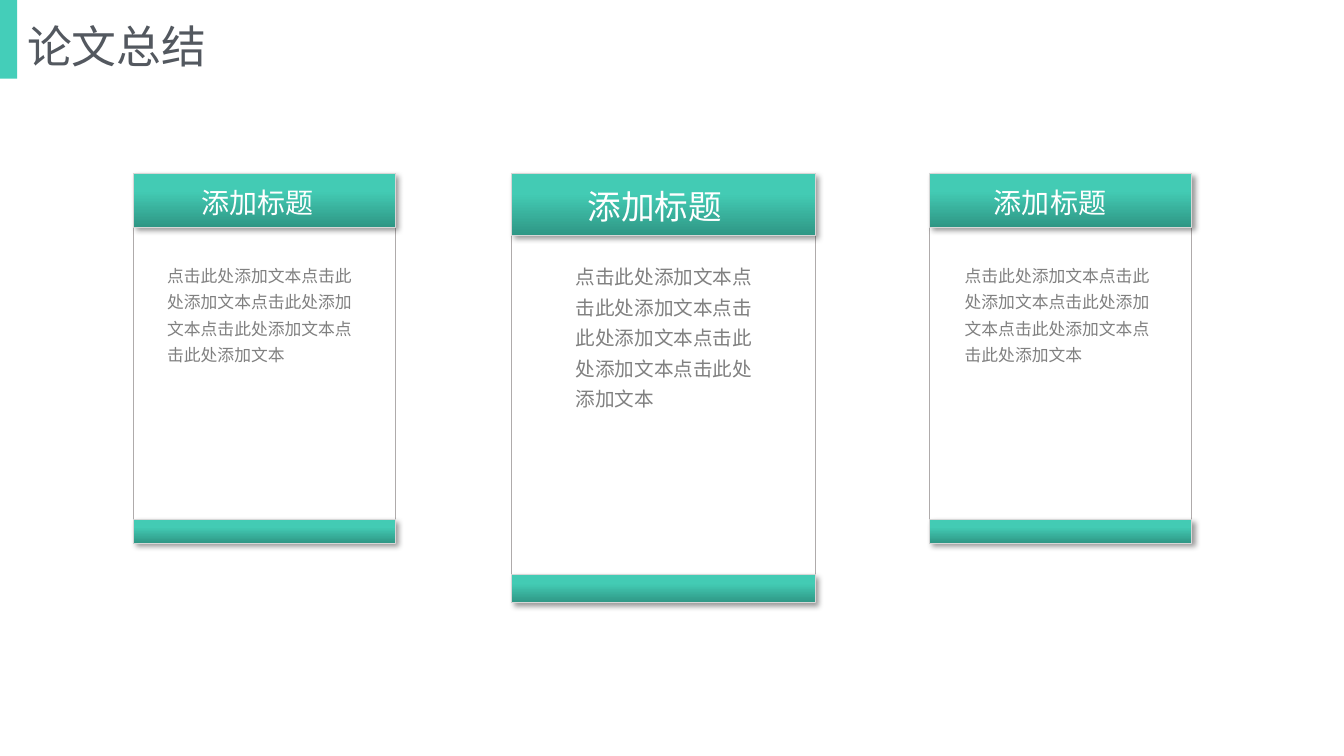
from lxml.etree import SubElement
from pptx import Presentation
from pptx.dml.color import RGBColor
from pptx.enum.shapes import MSO_SHAPE
from pptx.enum.text import MSO_AUTO_SIZE
from pptx.oxml import parse_xml
from pptx.oxml.ns import nsdecls, qn
from pptx.util import Inches, Pt

BODY = "点击此处添加文本" * 5
SHADOW = (
    f'<a:effectLst {nsdecls("a")}><a:outerShdw blurRad="50800" dist="38100" '
    'dir="2700000" algn="tl" rotWithShape="0"><a:srgbClr val="000000">'
    '<a:alpha val="40000"/></a:srgbClr></a:outerShdw></a:effectLst>'
)


def color(value):
    return RGBColor.from_string(value)


class SummaryPage:
    """Draws on one page whose grid has 100 columns and 100 rows."""

    font = "Noto Sans CJK SC"
    accent, light, dark = "44CEB9", "43CBB4", "2F9785"
    frame_line, band_line = "AFABAB", "D7D7D7"

    def __init__(self, deck):
        self.column = deck.slide_width / 100
        self.row = deck.slide_height / 100
        self.page = deck.slides.add_slide(deck.slide_layouts[6])

    def place(self, left, top, width, height):
        return (round(left * self.column), round(top * self.row),
                round(width * self.column), round(height * self.row))

    def rectangle(self, area, fill=None, line=None, parent=None):
        shapes = (parent or self.page).shapes
        box = shapes.add_shape(MSO_SHAPE.RECTANGLE, *self.place(*area))
        box.shadow.inherit = False
        if fill:
            box.fill.solid()
            box.fill.fore_color.rgb = color(fill)
        else:
            box.fill.background()
        if line:
            box.line.color.rgb = color(line)
            box.line.width = Pt(0.25)
        else:
            box.line.fill.background()
        return box

    def band(self, area, parent):
        box = self.rectangle(area, line=self.band_line, parent=parent)
        box.fill.gradient()
        box.fill.gradient_angle = 270
        stops = zip(box.fill.gradient_stops, (0.33, 1), (self.light, self.dark))
        for stop, position, shade in stops:
            stop.position = position
            stop.color.rgb = color(shade)
        properties = box.element.spPr
        properties.replace(properties.find(qn("a:effectLst")), parse_xml(SHADOW))

    def card(self, left, scale):
        top = 22.93
        width, height, head, foot = (
            size * scale for size in (19.5, 48.93, 7.07, 3.2))
        group = self.page.shapes.add_group_shape()
        self.rectangle((left, top, width, height), line=self.frame_line, parent=group)
        self.band((left, top, width, head), group)
        self.band((left, top + height - foot, width, foot), group)

    def text(self, content, area, size, shade, spacing=None):
        box = self.page.shapes.add_textbox(*self.place(*area))
        frame = box.text_frame
        frame.word_wrap = True
        frame.auto_size = MSO_AUTO_SIZE.SHAPE_TO_FIT_TEXT
        para = frame.paragraphs[0]
        if spacing:
            para.line_spacing = spacing
        span = para.add_run()
        span.text = content
        span.font.size = Pt(size)
        span.font.name = self.font
        span.font.color.rgb = color(shade)
        SubElement(span.font._element, qn("a:ea")).set("typeface", self.font)


def main():
    deck = Presentation()
    deck.slide_width, deck.slide_height = Inches(13.33), Inches(7.5)
    summary = SummaryPage(deck)
    summary.text("论文总结", (1.28, 1.87, 29.33, 8.53), size=32, shade="53585F")
    summary.rectangle((0, 0, 1.28, 10.4), fill=summary.accent)

    small = dict(scale=1, body=(33.73, 15.33, 12), heading=(11.4, 5.87, 20))
    large = dict(scale=1.16, body=(33.47, 21.33, 14), heading=(15.45, 6.67, 24))
    cards = [
        (9.9, 11.7, 14.25, small),
        (38.03, 42.08, 42.98, large),
        (69.17, 71.04, 73.22, small),
    ]
    for card_left, body_left, heading_left, style in cards:
        summary.card(card_left, style["scale"])
        top, height, size = style["body"]
        summary.text(BODY, (body_left, top, 15.83, height),
                     size=size, shade="808080", spacing=1.3)
        width, height, size = style["heading"]
        summary.text("添加标题", (heading_left, 23.87, width, height),
                     size=size, shade="FFFFFF")
    deck.save("out.pptx")


if __name__ == "__main__":
    main()
